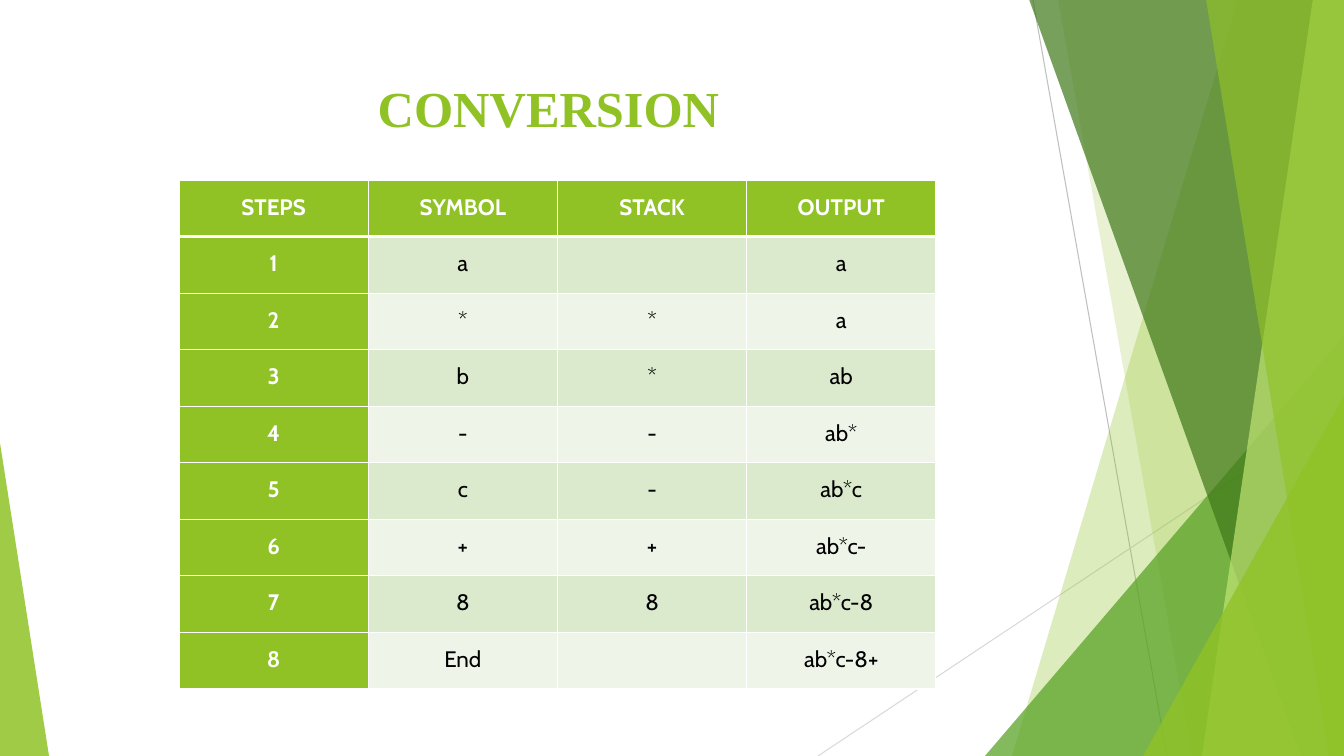
"""Build the CONVERSION slide: a table of steps beside green facets."""

from dataclasses import dataclass

from lxml.etree import SubElement
from pptx import Presentation
from pptx.dml.color import RGBColor
from pptx.enum.shapes import MSO_CONNECTOR, MSO_SHAPE
from pptx.enum.text import MSO_ANCHOR, PP_ALIGN
from pptx.oxml.ns import qn
from pptx.util import Emu, Pt

EMU_PER_PX = 12192000 / 1344
WIDTH, HEIGHT = 1344, 756


@dataclass(frozen=True)
class Theme:
    green: str = "90C226"
    leaf: str = "54A021"
    forest: str = "3F7819"
    lime: str = "C0E474"
    band: str = "DBE9CD"
    pale: str = "EEF4E8"
    white: str = "FFFFFF"
    black: str = "000000"
    gray: str = "BFBFBF"
    light_gray: str = "D9D9D9"
    title_font: str = "Times New Roman"
    table_font: str = "Cabin"
    title_size: int = 36
    table_size: int = 16


@dataclass(frozen=True)
class Ray:
    start: tuple[int, int]
    end: tuple[int, int]
    color: str


@dataclass(frozen=True)
class Facet:
    points: tuple[tuple[int, int], ...]
    color: str
    opacity: int


@dataclass(frozen=True)
class Triangle:
    left: int
    top: int
    right: int
    apex: float
    color: str
    opacity: int


THEME = Theme()


def band_facet(top_left: int, bottom_left: int, color: str, opacity: int) -> Facet:
    """Describe a facet that runs from a slanted left side to the right edge."""
    corners = ((top_left, -1), (WIDTH, -1), (WIDTH, HEIGHT), (bottom_left, HEIGHT))
    return Facet(corners, color, opacity)


DECORATIONS = (
    Ray((1033, 0), (1167, HEIGHT), THEME.gray),
    Ray((WIDTH, 406), (818, HEIGHT), THEME.light_gray),
    band_facet(1238, 1012, THEME.green, 30),
    band_facet(1058, 1192, THEME.green, 20),
    Triangle(985, 336, WIDTH, 1, THEME.leaf, 72),
    band_facet(1029, 1301, THEME.forest, 70),
    band_facet(1313, 1202, THEME.lime, 70),
    band_facet(1206, 1329, THEME.green, 65),
    Triangle(1143, 396, WIDTH, 1, THEME.green, 80),
    Triangle(0, 443, 49, 0, THEME.green, 85),
)

ROWS = (
    ("STEPS", "SYMBOL", "STACK", "OUTPUT"),
    ("1", "a", "", "a"),
    ("2", "*", "*", "a"),
    ("3", "b", "*", "ab"),
    ("4", "-", "-", "ab*"),
    ("5", "c", "-", "ab*c"),
    ("6", "+", "+", "ab*c-"),
    ("7", "8", "8", "ab*c-8"),
    ("8", "End", "", "ab*c-8+"),
)


def px(length: int) -> Emu:
    """Turn pixels into EMU."""
    return Emu(round(length * EMU_PER_PX))


def rgb(color: str) -> RGBColor:
    """Turn a hex string into a colour."""
    return RGBColor.from_string(color)


def paint(shape, color: str, opacity: int) -> None:
    """Give a shape a translucent fill without outline or shadow."""
    shape.shadow.inherit = False
    shape.line.fill.background()
    shape.fill.solid()
    shape.fill.fore_color.rgb = rgb(color)
    tint = shape._element.spPr.find(qn("a:solidFill"))[0]
    SubElement(tint, qn("a:alpha"), val=str(opacity * 1000))


def draw_ray(page, ray: Ray) -> None:
    """Draw a thin straight line."""
    line = page.shapes.add_connector(
        MSO_CONNECTOR.STRAIGHT, *map(px, ray.start + ray.end)
    )
    line.line.color.rgb = rgb(ray.color)
    line.line.width = Pt(0.75)
    SubElement(line._element.spPr, qn("a:effectLst"))


def draw_facet(page, facet: Facet) -> None:
    """Draw a translucent polygon."""
    first, *others = facet.points
    builder = page.shapes.build_freeform(*first, scale=EMU_PER_PX)
    builder.add_line_segments(others, close=True)
    paint(builder.convert_to_shape(), facet.color, facet.opacity)


def draw_triangle(page, triangle: Triangle) -> None:
    """Draw a right triangle standing on the bottom edge."""
    shape = page.shapes.add_shape(
        MSO_SHAPE.ISOSCELES_TRIANGLE,
        px(triangle.left),
        px(triangle.top),
        px(triangle.right - triangle.left),
        px(HEIGHT - triangle.top),
    )
    shape.adjustments[0] = triangle.apex
    paint(shape, triangle.color, triangle.opacity)


def add_span(para, text: str, font: str, size: int, color: str, bold: bool) -> None:
    """Add one centred run to a paragraph."""
    para.alignment = PP_ALIGN.CENTER
    span = para.add_run()
    span.text = text
    span.font.name = font
    span.font.size = Pt(size)
    span.font.color.rgb = rgb(color)
    span.font.bold = bold


def draw_title(page) -> None:
    """Draw the heading."""
    box = page.shapes.add_textbox(px(75), px(68), px(947), px(145))
    frame = box.text_frame
    frame.word_wrap = True
    frame.vertical_anchor = MSO_ANCHOR.TOP
    frame.margin_top = px(9)
    add_span(frame.paragraphs[0], "CONVERSION", THEME.title_font,
             THEME.title_size, THEME.green, True)


def add_borders(cell, row: int) -> None:
    """Outline a cell in white, heavier beneath the header."""
    widths = {"L": 1, "R": 1, "T": 3 if row == 1 else 1, "B": 3 if row == 0 else 1}
    properties = cell._tc.get_or_add_tcPr()
    for side, width in widths.items():
        border = SubElement(properties, qn(f"a:ln{side}"), w=str(Pt(width)))
        fill = SubElement(border, qn("a:solidFill"))
        SubElement(fill, qn("a:srgbClr"), val=THEME.white)


def fill_cell(cell, text: str, row: int, column: int) -> None:
    """Style a cell and write its text."""
    heading = row == 0 or column == 0
    add_borders(cell, row)
    cell.fill.solid()
    band = THEME.band if row % 2 else THEME.pale
    cell.fill.fore_color.rgb = rgb(THEME.green if heading else band)
    cell.margin_left = cell.margin_right = px(7)
    cell.margin_top = cell.margin_bottom = 0
    if text:
        para = cell.text_frame.paragraphs[0]
        para.line_spacing = 1.5
        para.space_after = Pt(8)
        color = THEME.white if heading else THEME.black
        add_span(para, text, THEME.table_font, THEME.table_size, color, heading)


def draw_table(page) -> None:
    """Draw the conversion steps."""
    table = page.shapes.add_table(
        len(ROWS), len(ROWS[0]), px(179), px(180), px(757), px(509)
    ).table
    for row, texts in enumerate(ROWS):
        for column, text in enumerate(texts):
            fill_cell(table.cell(row, column), text, row, column)


def main() -> None:
    """Build and save the deck."""
    deck = Presentation()
    deck.slide_width, deck.slide_height = px(WIDTH), px(HEIGHT)
    page = deck.slides.add_slide(deck.slide_layouts[6])
    painters = {Ray: draw_ray, Facet: draw_facet, Triangle: draw_triangle}
    for decoration in DECORATIONS:
        painters[type(decoration)](page, decoration)
    draw_title(page)
    draw_table(page)
    deck.save("out.pptx")


if __name__ == "__main__":
    main()
